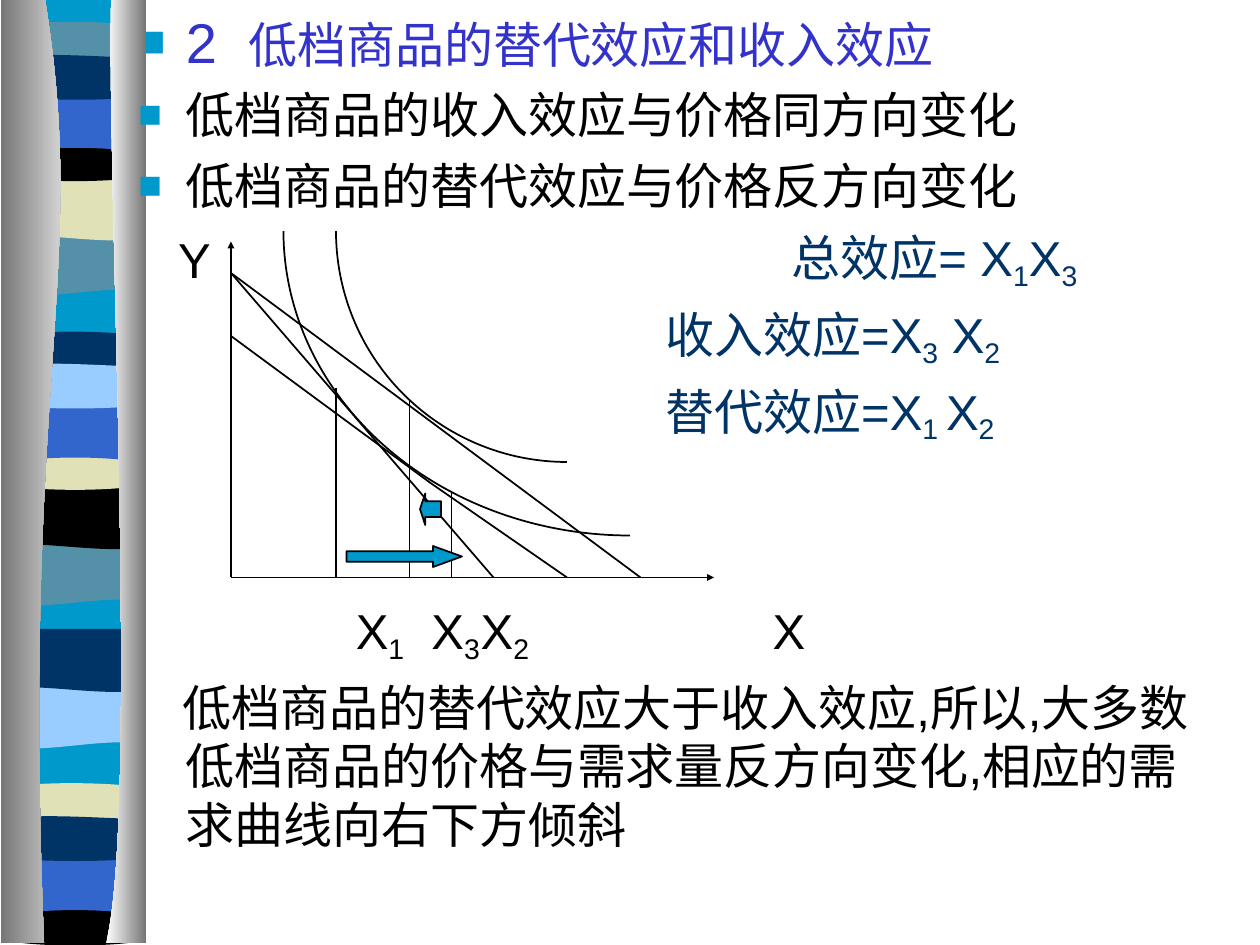
from lxml import etree
from pptx import Presentation
from pptx import util as u
from pptx.dml.color import RGBColor
from pptx.enum import shapes, text
from pptx.oxml.ns import qn

THEME = {
    "font": "Arial", "number_pt": 32, "body_pt": 28, "gap_pt": 7, "line_pt": 1,
    "black": "000000", "heading": "3333CC", "navy": "003366", "cyan": "0099CC",
    "teal": "5490A8", "sand": "E1E1B7", "blue": "3366CC", "sky": "99CCFF",
    "grey": "767676", "white": "FFFFFF",
}
COLS, ROWS = 120, 90
CELL = u.Inches(10) / COLS


def color(name):
    return RGBColor.from_string(THEME[name])


def cells(*counts):
    return [u.Emu(round(count * CELL)) for count in counts]


prs = Presentation()
prs.slide_width, prs.slide_height = cells(COLS, ROWS)
slide = prs.slides.add_slide(prs.slide_layouts[5])

# Ribbon of wavy bands on a cyan ground. Each kind has a height and the bends
# of its top and bottom edges, left then right.
LEFT, RIGHT, FOOT = 0.7, 13.6, 89.8
KINDS = {
    "wave": (5.7, (0, 0), (1, -1)), "sag": (5.7, (0, 0), (-0.6, 0.9)),
    "crest": (2.9, (-0.6, -0.5), (0.5, 0.5)), "dip": (3.8, (0.6, 0), (0.6, 0.6)),
    "arch": (5.7, (0, 0), (-0.7, -0.7)), "ripple": (3.7, (-0.6, 0), (0.4, 0.4)),
}
groups = [
    [("teal", 22.2), ("sand", 16.9), ("teal", 2.5), ("black", 13), ("blue", 8.9), ("navy", 5.5)],
    [("teal", 51.7), ("black", 46.3), ("navy", 32), ("sand", 42.4), ("blue", 38.4), ("sky", 34.9)],
    [("sky", 65.3), ("navy", 59.9), ("sand", 75), ("black", 85.8), ("blue", 81.5), ("navy", 78)],
]
# An outline is a start point, then segments of one point (line) or three (curve)
outlines = [((LEFT, 0), [[(RIGHT, 0)], [(RIGHT, FOOT)], [(LEFT, FOOT)]], ["cyan"])]
inner_left, inner_right = LEFT + 3, RIGHT - 3
for group in groups:
    for (name, top), (height, upper, lower) in zip(group, KINDS.values()):
        base = top + height
        outlines.append(((LEFT, top), [
            [(inner_left, top + upper[0]), (inner_right, top + upper[1]), (RIGHT, top)],
            [(RIGHT, base)],
            [(inner_right, base + lower[1]), (inner_left, base + lower[0]), (LEFT, base)],
        ], [name]))

# Shaded pillars on both sides of the ribbon
outlines += [
    ((4.3, 0), [[(8.5, 26), (2, 35.5), (4.2, FOOT)], [(0.1, FOOT)], [(0.1, 0)]],
     ["grey", "white"]),
    ((10.6, 0), [[(10.1, 15), (13.3, 77.5), (10.1, FOOT)], [(13.9, FOOT)], [(13.9, 0)]],
     ["white", "grey"]),
]
for start, segments, fills in outlines:
    builder = slide.shapes.build_freeform(*cells(*start), scale=1.0)
    builder.add_line_segments([cells(*point) for segment in segments for point in segment])
    outline = builder.convert_to_shape()
    lines = iter(outline._element.spPr.findall(".//" + qn("a:lnTo")))
    for segment in segments:
        first, *others = [next(lines) for _ in segment]
        if others:
            curve = etree.Element(qn("a:cubicBezTo"))
            first.addprevious(curve)
            for line in (first, *others):
                curve.append(line[0])
                line.getparent().remove(line)
    outline.shadow.inherit = False
    outline.line.fill.background()
    if len(fills) == 1:
        outline.fill.solid()
        outline.fill.fore_color.rgb = color(fills[0])
    else:
        outline.fill.gradient()
        outline.fill.gradient_angle = 0
        for stop, name in zip(outline.fill.gradient_stops, fills):
            stop.color.rgb = color(name)

# Axes, budget lines and drop lines of the diagram
ORIGIN_X, BASE = 22, 55
axes = [(ORIGIN_X, BASE, ORIGIN_X, 23), (ORIGIN_X, BASE, 68, BASE)]
budgets = [(ORIGIN_X, 26, 47, BASE), (ORIGIN_X, 26, 61, BASE),
           (41, 46, ORIGIN_X, 32), (41, 46, 54, BASE)]
drops = [(x, top, x, BASE) for x, top in ((32, 37), (43, 47), (39, 38))]
for ends in axes + budgets + drops:
    segment = slide.shapes.add_connector(shapes.MSO_CONNECTOR.STRAIGHT, *cells(*ends))
    segment.line.color.rgb = color("black")
    segment.line.width = u.Pt(THEME["line_pt"])
    if ends in axes:
        etree.SubElement(segment.line._get_or_add_ln(), qn("a:tailEnd"),
                         type="triangle", w="sm", len="sm")
    etree.SubElement(segment._element.spPr, qn("a:effectLst"))

# Indifference curves (quarter arcs; an angle of 54 is 90 degrees),
# then the substitution effect to the right and the income effect to the left
QUARTER = (54, 108)
for kind, place, adjusts in (
    (shapes.MSO_SHAPE.ARC, (27, -7, 66, 58), QUARTER),
    (shapes.MSO_SHAPE.ARC, (32, 0, 44, 44), QUARTER),
    (shapes.MSO_SHAPE.RIGHT_ARROW, (33, 52, 11, 2), (0.5, 1.38)),
    (shapes.MSO_SHAPE.LEFT_ARROW, (40, 47, 2, 3), (0.5, 0.25)),
):
    figure = slide.shapes.add_shape(kind, *cells(*place))
    for index, adjust in enumerate(adjusts):
        figure.adjustments[index] = adjust
    figure.shadow.inherit = False
    figure.line.color.rgb = color("black")
    figure.line.width = u.Pt(THEME["line_pt"])
    if adjusts == QUARTER:
        figure.fill.background()
    else:
        figure.fill.solid()
        figure.fill.fore_color.rgb = color("cyan")


def write(box, lines, ink="black", number="", bullet=False, hang=0, indents=()):
    """Fill a box with lines; an underscore lowers the character after it."""
    frame = box.text_frame
    for key, value in {"word_wrap": True, "auto_size": text.MSO_AUTO_SIZE.NONE,
                       "vertical_anchor": text.MSO_ANCHOR.TOP}.items():
        setattr(frame, key, value)
    for row, line in enumerate(lines):
        paragraph = frame.add_paragraph() if row else frame.paragraphs[0]
        paragraph.alignment = text.PP_ALIGN.LEFT
        paragraph.space_before = u.Pt(THEME["gap_pt"] if row else 0)
        props = paragraph._p.get_or_add_pPr()
        margin, first = cells(hang, indents[row] if indents else -hang)
        props.set("marL", str(margin))
        props.set("indent", str(first))
        if bullet:
            tint = etree.SubElement(props, qn("a:buClr"))
            etree.SubElement(tint, qn("a:srgbClr"), val=THEME["cyan"])
            etree.SubElement(props, qn("a:buSzPct"), val="80000")
            etree.SubElement(props, qn("a:buFont"), typeface=THEME["font"])
            etree.SubElement(props, qn("a:buChar"), char="■")
        head, *rest = line.split("_")
        pieces = [(number, "number_pt", {"spc": "450"}), (head, "body_pt", {})]
        for part in rest:
            pieces += [(part[0], "body_pt", {"baseline": "-20000"}), (part[1:], "body_pt", {})]
        for words, size, extras in pieces:
            if words:
                run = paragraph.add_run()
                run.text = words
                run.font.name = THEME["font"]
                run.font.size = u.Pt(THEME[size])
                run.font.color.rgb = color(ink)
                for key, value in extras.items():
                    run._r.get_or_add_rPr().set(key, value)


BULLETED = {"bullet": True, "hang": 4.5}
heading = slide.shapes.title
heading.left, heading.top, heading.width, heading.height = cells(12, 0.1, 106, 7)
write(heading, ["低档商品的替代效应和收入效应"], "heading", number="2 ", **BULLETED)

passages = [
    ((12, 7.45, 106, 14), ["低档商品的收入效应与价格同方向变化", "低档商品的替代效应与价格反方向变化"],
     BULLETED),
    ((62.2, 21.1, 50, 22), ["总效应= X_1X_3", "收入效应=X_3 X_2", "替代效应=X_1_ X_2"],
     {"ink": "navy", "indents": (12, 0, 0)}),
    ((16.2, 63.9, 101.8, 19),
     ["低档商品的替代效应大于收入效应,所以,大多数低档商品的价格与需求量反方向变化,相应的需求曲线向右下方倾斜"],
     {"hang": 0.3}),
    ((15.8, 21.25, 6, 6), ["Y"], {}),
]
passages += [((left, 56.65, 9, 6), [label], {})
             for left, label in ((32.7, "X_1"), (39.9, "X_3"), (44.6, "X_2"), (72.4, "X"))]
for place, lines, style in passages:
    write(slide.shapes.add_textbox(*cells(*place)), lines, **style)

prs.save("out.pptx")
